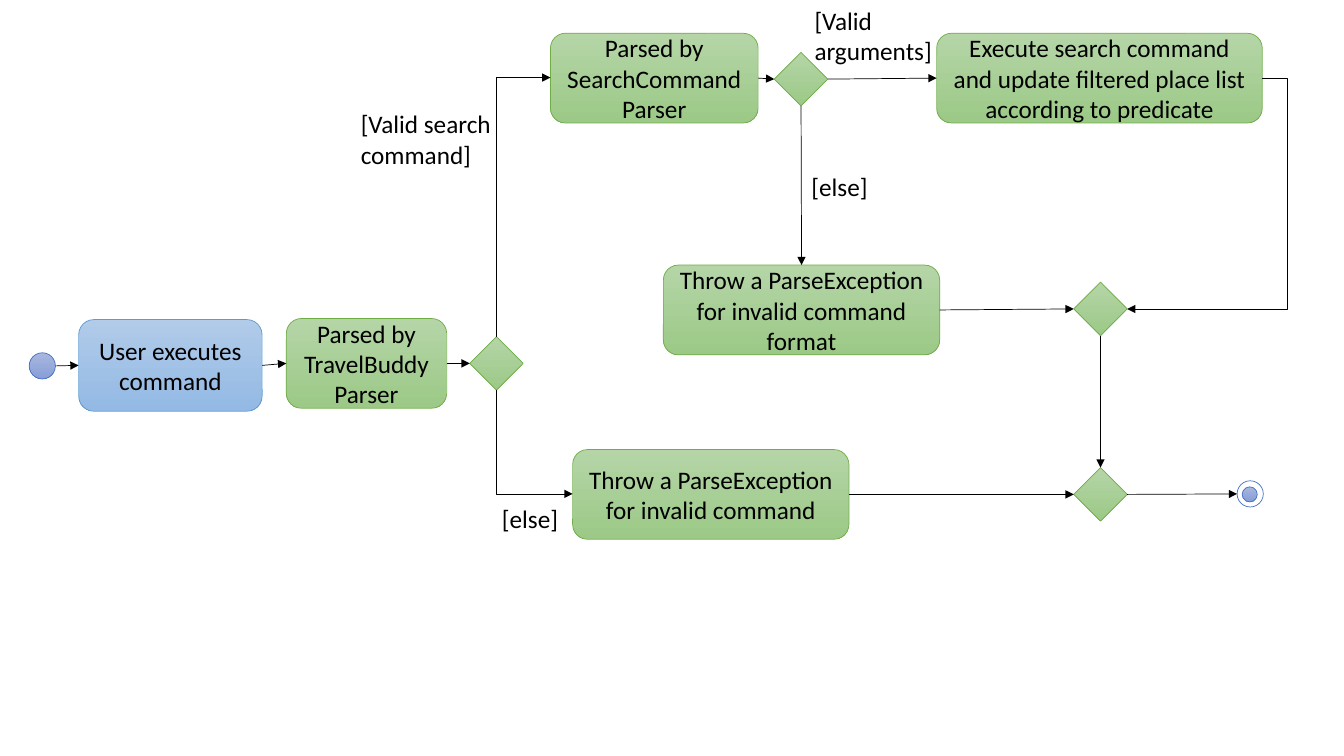
from dataclasses import dataclass
from enum import IntEnum

from lxml import etree
from pptx import Presentation
from pptx import util as u
from pptx.dml.color import RGBColor
from pptx.enum import shapes, text
from pptx.oxml import ns
from pptx.shapes.autoshape import Shape
from pptx.shapes.connector import Connector

PX = 9144  # EMU per px, 100 px to the inch
FONT = "Calibri"
FONT_SIZE = u.Pt(18)
LINE_WIDTH = u.Pt(0.5)
DIAMOND = 53
CIRCLE = 26
BOX_HEIGHT = 89

BLACK = RGBColor(0x00, 0x00, 0x00)
WHITE = RGBColor(0xFF, 0xFF, 0xFF)


@dataclass(frozen=True)
class Style:
    top: RGBColor
    bottom: RGBColor
    line: RGBColor


GREEN = Style(RGBColor(0xB5, 0xD5, 0xA7), RGBColor(0x9C, 0xC9, 0x87), RGBColor(0x70, 0xAD, 0x47))
SKY = Style(RGBColor(0xB1, 0xCB, 0xE9), RGBColor(0x93, 0xB9, 0xE4), RGBColor(0x5B, 0x9B, 0xD5))
INDIGO = Style(RGBColor(0xA8, 0xB7, 0xDF), RGBColor(0x88, 0x9E, 0xD7), RGBColor(0x44, 0x72, 0xC4))
HOLLOW = Style(WHITE, WHITE, INDIGO.line)


class Side(IntEnum):
    """Connection sites of boxes and diamonds."""
    TOP = 0
    LEFT = 1
    BOTTOM = 2
    RIGHT = 3


class Route(IntEnum):
    STRAIGHT = 0
    CORNER = 1
    AROUND = 2


@dataclass(frozen=True)
class Node:
    left: int
    top: int
    width: int
    height: int
    kind: shapes.MSO_SHAPE = shapes.MSO_SHAPE.ROUNDED_RECTANGLE
    style: Style = GREEN
    label: str = ""

    def point(self, side: Side) -> tuple[int, int]:
        x = {Side.LEFT: 0, Side.RIGHT: self.width}.get(side, self.width // 2)
        y = {Side.TOP: 0, Side.BOTTOM: self.height}.get(side, self.height // 2)
        return (self.left + x) * PX, (self.top + y) * PX


@dataclass(frozen=True)
class Link:
    source: str
    target: str
    leave: Side = Side.RIGHT
    enter: Side = Side.LEFT
    route: Route = Route.STRAIGHT


@dataclass(frozen=True)
class Label:
    left: int
    top: int
    width: int
    height: int
    wording: str


def box(left: int, top: int, width: int, label: str) -> Node:
    return Node(left, top, width, BOX_HEIGHT, label=label)


def diamond(left: int, top: int) -> Node:
    return Node(left, top, DIAMOND, DIAMOND, shapes.MSO_SHAPE.DIAMOND)


def circle(left: int, top: int, size: int, style: Style) -> Node:
    return Node(left, top, size, size, shapes.MSO_SHAPE.OVAL, style)


NODES = {
    "start": circle(29, 350, CIRCLE, INDIGO),
    "user": Node(78, 317, 182, 91, style=SKY, label="User executes command"),
    "main parser": box(284, 316, 159, "Parsed by TravelBuddyParser"),
    "command check": diamond(466, 334),
    "search parser": box(546, 33, 206, "Parsed by SearchCommandParser"),
    "argument check": diamond(768, 52),
    "execute": box(929, 33, 323, "Execute search command and update filtered place list "
                                 "according to predicate"),
    "format error": box(658, 263, 274, "Throw a ParseException for invalid command format"),
    "command error": box(568, 446, 274, "Throw a ParseException for invalid command"),
    "search merge": diamond(1065, 280),
    "final merge": diamond(1065, 464),
}
END_RING = circle(1227, 477, CIRCLE, HOLLOW)
END_DOT = circle(1232, 483, 15, INDIGO)

LINKS = [
    Link("start", "user"),
    Link("user", "main parser"),
    Link("main parser", "command check"),
    Link("command check", "search parser", leave=Side.TOP, route=Route.CORNER),
    Link("command check", "command error", leave=Side.BOTTOM, route=Route.CORNER),
    Link("search parser", "argument check"),
    Link("argument check", "execute"),
    Link("argument check", "format error", Side.BOTTOM, Side.TOP),
    Link("execute", "search merge", enter=Side.RIGHT, route=Route.AROUND),
    Link("format error", "search merge"),
    Link("search merge", "final merge", Side.BOTTOM, Side.TOP),
    Link("command error", "final merge"),
    Link("final merge", "end"),
]

LABELS = [
    Label(348, 103, 226, 71, "[Valid search command]"),
    Label(798, 0, 152, 71, "[Valid arguments]"),
    Label(795, 165, 93, 40, "[else]"),
    Label(488, 494, 93, 40, "[else]"),
]


def write_text(shape: Shape, wording: str, alignment: text.PP_ALIGN) -> None:
    shape.text_frame.word_wrap = True
    paragraph = shape.text_frame.paragraphs[0]
    paragraph.text = wording
    paragraph.alignment = alignment
    paragraph.font.name = FONT
    paragraph.font.size = FONT_SIZE
    paragraph.font.color.rgb = BLACK


def draw_node(parent, node: Node) -> Shape:
    shape = parent.add_shape(node.kind, node.left * PX, node.top * PX,
                             node.width * PX, node.height * PX)
    shape.shadow.inherit = False
    if node.style.top == node.style.bottom:
        shape.fill.solid()
        shape.fill.fore_color.rgb = node.style.top
    else:
        shape.fill.gradient()
        shape.fill.gradient_angle = 270
        for stop, color in zip(shape.fill.gradient_stops, (node.style.top, node.style.bottom)):
            stop.color.rgb = color
    shape.line.color.rgb = node.style.line
    shape.line.width = LINE_WIDTH
    if node.label:
        shape.text_frame.vertical_anchor = text.MSO_ANCHOR.MIDDLE
        write_text(shape, node.label, text.PP_ALIGN.CENTER)
    return shape


def turn_corner(connector: Connector, begin: tuple[int, int], end: tuple[int, int]) -> None:
    """Make a one-bend route that leaves vertically and arrives horizontally."""
    length, depth = abs(end[1] - begin[1]), abs(end[0] - begin[0])
    connector.left = (begin[0] + end[0] - length) // 2
    connector.top = (begin[1] + end[1] - depth) // 2
    connector.width, connector.height = length, depth
    upward = end[1] < begin[1]
    transform = connector.element.spPr.xfrm
    transform.flipH, transform.flipV = True, upward
    transform.rot = 90 if upward else 270
    connector.element.spPr.prstGeom.set("prst", "bentConnector2")


def draw_link(parent, link: Link, nodes: dict[str, Node], drawn: dict[str, Shape]) -> None:
    source, target = nodes[link.source], nodes[link.target]
    begin, end = source.point(link.leave), target.point(link.enter)
    kind = shapes.MSO_CONNECTOR.STRAIGHT if link.route is Route.STRAIGHT else shapes.MSO_CONNECTOR.ELBOW
    connector = parent.add_connector(kind, *begin, *end)
    if link.source in drawn:
        connector.begin_connect(drawn[link.source], link.leave.value)
    if link.target in drawn:
        connector.end_connect(drawn[link.target], link.enter.value)
    properties = connector.element.spPr
    if link.route is Route.CORNER:
        turn_corner(connector, begin, end)
    elif link.route is Route.AROUND:
        adjustments = properties.prstGeom.get_or_add_avLst()
        etree.SubElement(adjustments, ns.qn("a:gd"), name="adj1", fmla="val -18500")
    connector.line.color.rgb = BLACK
    connector.line.width = LINE_WIDTH
    etree.SubElement(properties.find(ns.qn("a:ln")), ns.qn("a:tailEnd"), type="triangle")
    etree.SubElement(properties, ns.qn("a:effectLst"))


def main() -> None:
    presentation = Presentation()
    presentation.slide_width, presentation.slide_height = 1333 * PX, 750 * PX
    slide = presentation.slides.add_slide(presentation.slide_layouts[6])

    # Activities, decisions and the start and end marks
    drawn = {name: draw_node(slide.shapes, node) for name, node in NODES.items()}
    end_mark = slide.shapes.add_group_shape()
    for part in (END_RING, END_DOT):
        draw_node(end_mark.shapes, part)

    # Arrows, attached to boxes and diamonds
    sites = {name: shape for name, shape in drawn.items() if name != "start"}
    for link in LINKS:
        draw_link(slide.shapes, link, NODES | {"end": END_RING}, sites)

    # Guard conditions
    for label in LABELS:
        guard = slide.shapes.add_textbox(label.left * PX, label.top * PX,
                                         label.width * PX, label.height * PX)
        guard.text_frame.auto_size = text.MSO_AUTO_SIZE.SHAPE_TO_FIT_TEXT
        write_text(guard, label.wording, text.PP_ALIGN.LEFT)

    presentation.save("out.pptx")


if __name__ == "__main__":
    main()
